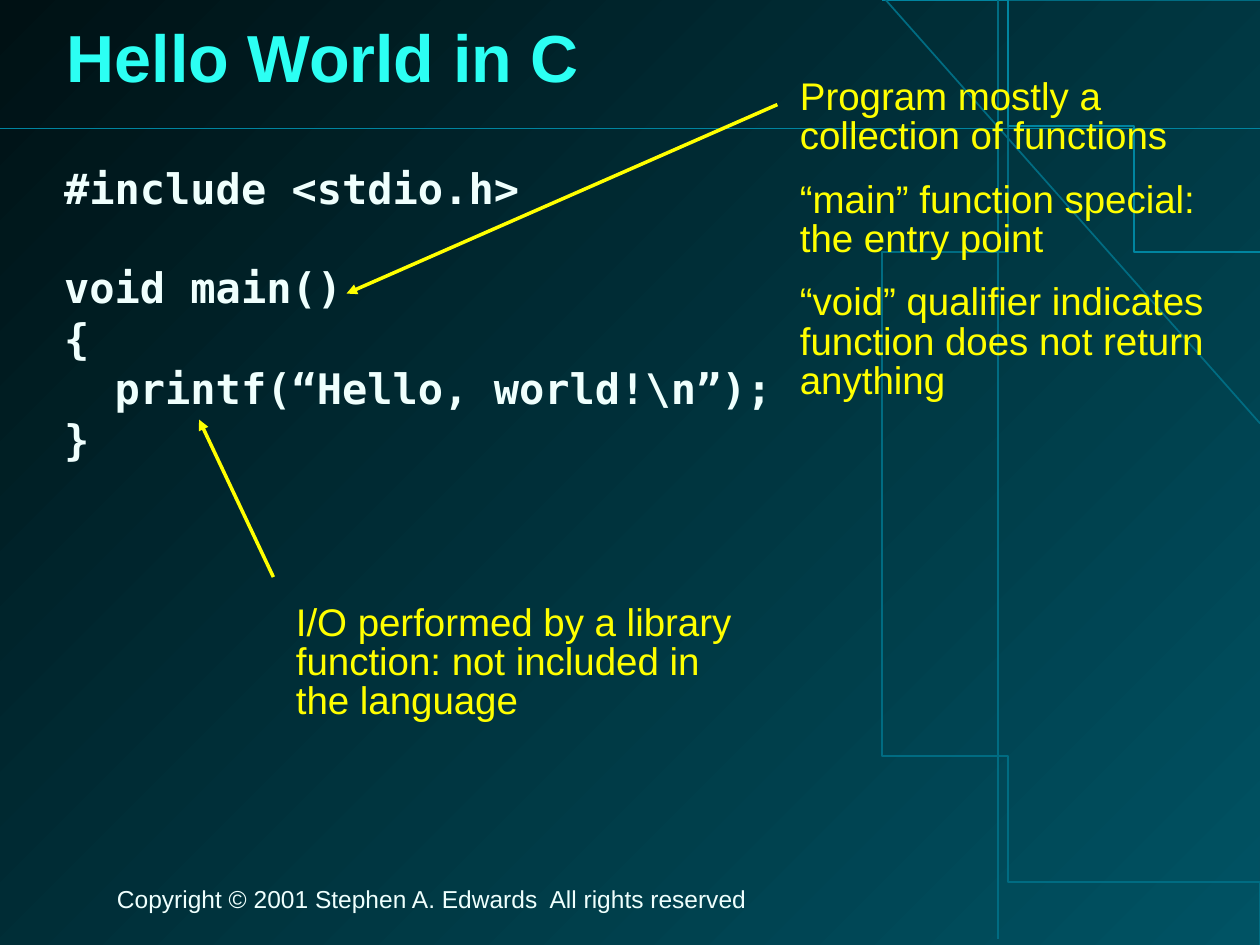
import pptx
import pptx.dml.color
import pptx.enum.text
import pptx.oxml
import pptx.oxml.ns
import pptx.util

Inches = pptx.util.Inches
Pt = pptx.util.Pt
RGBColor = pptx.dml.color.RGBColor

BACKGROUND_DARK = RGBColor(0x00, 0x11, 0x14)
BACKGROUND_LIGHT = RGBColor(0x00, 0x53, 0x64)
DIM_TEAL = RGBColor(0x00, 0x6C, 0x82)
TEAL = RGBColor(0x00, 0x85, 0xA0)
TITLE_CYAN = RGBColor(0x2C, 0xFF, 0xF3)
PALE = RGBColor(0xEF, 0xFF, 0xFD)
YELLOW = RGBColor(0xFF, 0xFF, 0x00)

A_NS = pptx.oxml.ns.nsdecls("a")
CURVE_STEPS = 40


def paint_background(slide):
    fill = slide.background.fill
    fill.gradient()
    fill.gradient_angle = 315
    for stop, color, position in zip(
        fill.gradient_stops, (BACKGROUND_DARK, BACKGROUND_LIGHT), (0, 1)
    ):
        stop.color.rgb = color
        stop.position = position


def bezier_points(start, control_1, control_2, end):
    """Sample a cubic Bezier curve, leaving out its start point."""
    points = []
    for step in range(1, CURVE_STEPS + 1):
        t = step / CURVE_STEPS
        weights = ((1 - t) ** 3, 3 * t * (1 - t) ** 2, 3 * t**2 * (1 - t), t**3)
        corners = (start, control_1, control_2, end)
        points.append(
            tuple(sum(w * c[axis] for w, c in zip(weights, corners)) for axis in (0, 1))
        )
    return points


def add_curve(slide, start, segments, color):
    """Draw an open outline of Bezier segments, each (control, control, end)."""
    points = [start]
    for segment in segments:
        points += bezier_points(points[-1], *segment)
    builder = slide.shapes.build_freeform(*start, scale=Inches(1))
    builder.add_line_segments(points[1:], close=False)
    curve = builder.convert_to_shape()
    curve.shadow.inherit = False
    curve.fill.background()
    curve.line.color.rgb = color
    curve.line.width = Pt(1)


def add_line(slide, start, end, color, width=1, arrow=False):
    ends = [Inches(value) for value in (*start, *end)]
    line = slide.shapes.add_connector(pptx.enum.shapes.MSO_CONNECTOR.STRAIGHT, *ends)
    line.line.color.rgb = color
    line.line.width = Pt(width)
    if arrow:
        line.line._get_or_add_ln().append(
            pptx.oxml.parse_xml(f'<a:tailEnd {A_NS} type="triangle"/>')
        )
    line._element.spPr.append(pptx.oxml.parse_xml(f"<a:effectLst {A_NS}/>"))


def add_text(slide, box, lines, size, color, font="Arial", bold=False,
             line_spacing=0.85, gap=0):
    """Add one paragraph per line, with gap points between paragraphs."""
    text_box = slide.shapes.add_textbox(*(Inches(value) for value in box))
    frame = text_box.text_frame
    frame.word_wrap = True
    frame.text = "\n".join(lines)
    for index, paragraph in enumerate(frame.paragraphs):
        paragraph.line_spacing = line_spacing
        paragraph.space_before = Pt(gap if index else 0)
        paragraph.font.name = font
        paragraph.font.size = Pt(size)
        paragraph.font.bold = bold
        paragraph.font.color.rgb = color
    return frame


def add_text_shadow(run):
    properties = run.font._element
    properties.append(pptx.oxml.parse_xml(
        f'<a:effectLst {A_NS}><a:outerShdw dist="38100" dir="2700000">'
        '<a:srgbClr val="000000"/></a:outerShdw></a:effectLst>'
    ))


def add_decoration(slide):
    add_curve(slide, (9.9, 7.5), [
        ((8.25, 7.43), (6.94, 5.77), (6.94, 3.75)),
        ((6.94, 1.68), (8.31, 0), (10, 0)),
    ], DIM_TEAL)
    add_curve(slide, (9.97, 1.9), [((8.69, 1.89), (7.61, 1.06), (7.44, -0.05))], TEAL)
    add_line(slide, (10, 3.36), (7.03, 0), DIM_TEAL)
    add_line(slide, (7.92, 0), (7.92, 7.45), DIM_TEAL)
    add_line(slide, (0, 1.02), (10, 1.02), TEAL)


def add_title(slide):
    title = add_text(slide, (0.43, 0, 9.21, 0.98), ["Hello World in C"], 38,
                     TITLE_CYAN, bold=True, line_spacing=0.87)
    title.vertical_anchor = pptx.enum.text.MSO_ANCHOR.MIDDLE
    add_text_shadow(title.paragraphs[0].runs[0])


def add_code(slide):
    code = add_text(slide, (0.41, 1.24, 9.12, 5.59), [
        "#include <stdio.h>",
        "void main()",
        "{",
        "  printf(“Hello, world!\\n”);",
        "}",
    ], 24, PALE, font="DejaVu Sans Mono", bold=True, line_spacing=1.0)
    code.paragraphs[1].space_before = Pt(28)


def main():
    presentation = pptx.Presentation()
    presentation.slide_width = Inches(10)
    presentation.slide_height = Inches(7.5)
    slide = presentation.slides.add_slide(presentation.slide_layouts[6])

    paint_background(slide)
    add_decoration(slide)
    add_text(slide, (0.83, 7, 8.08, 0.3),
             ["Copyright © 2001 Stephen A. Edwards  All rights reserved"], 14, PALE)
    add_title(slide)
    add_code(slide)
    add_text(slide, (6.25, 0.58, 3.58, 2.66), [
        "Program mostly a collection of functions",
        "“main” function special: the entry point",
        "“void” qualifier indicates function does not return anything",
    ], 22, YELLOW, gap=13.8)
    add_line(slide, (6.17, 0.83), (2.75, 2.33), YELLOW, width=2, arrow=True)
    add_line(slide, (2.17, 4.58), (1.58, 3.33), YELLOW, width=2, arrow=True)
    add_text(slide, (2.25, 4.75, 3.75, 1.04),
             ["I/O performed by a library function: not included in the language"],
             22, YELLOW)

    presentation.save("out.pptx")


if __name__ == "__main__":
    main()
